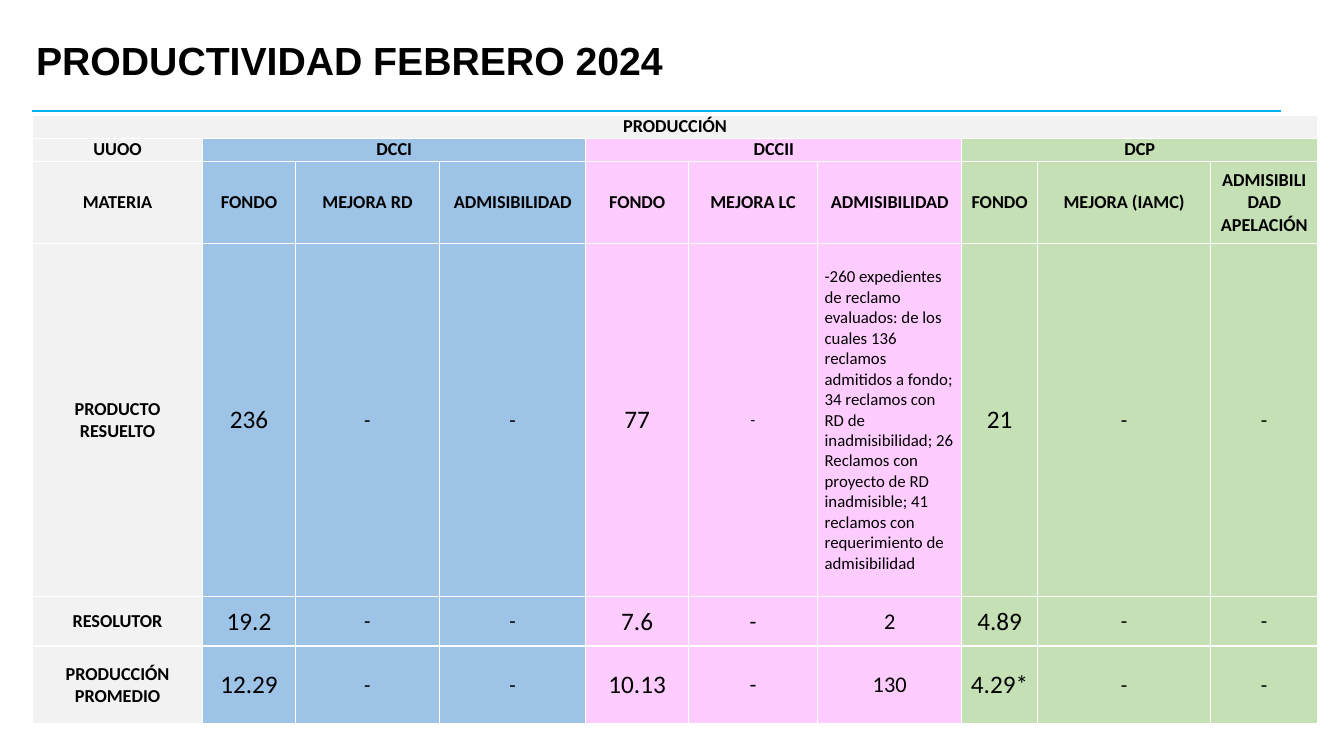
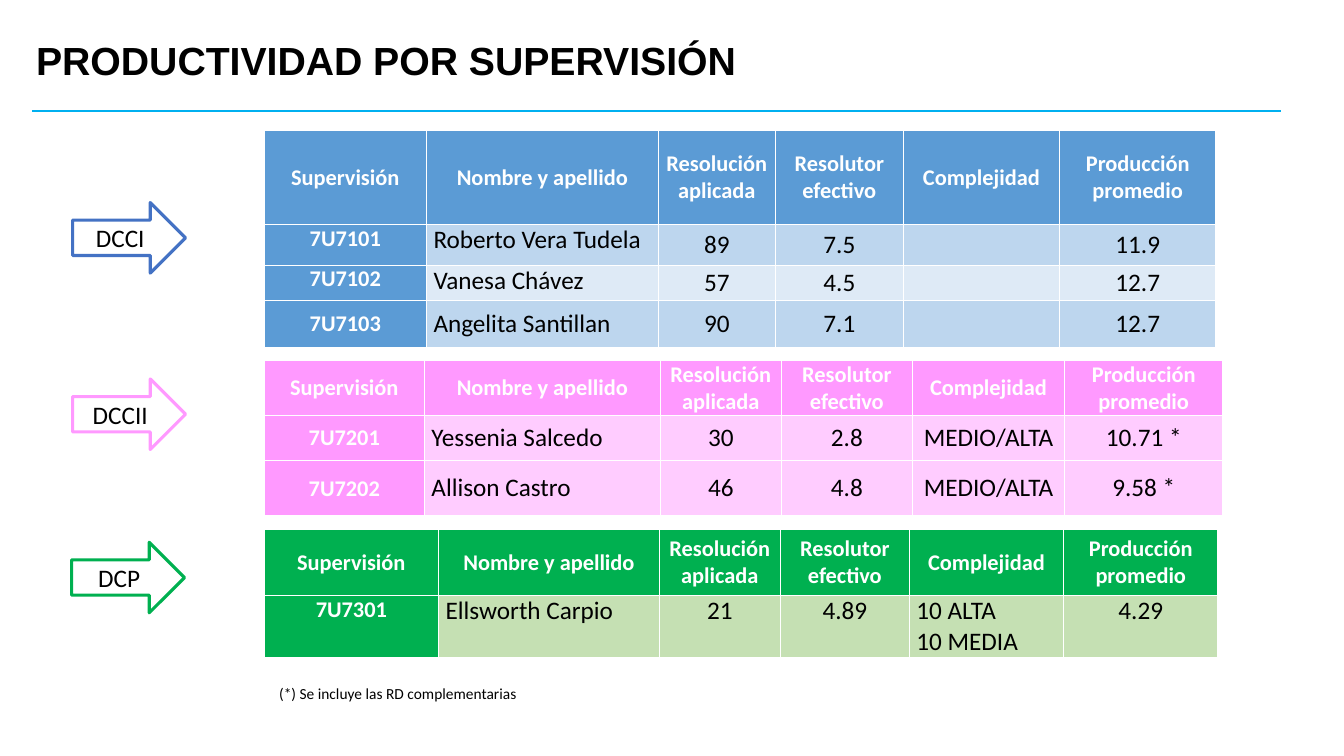
from dataclasses import dataclass

from lxml.etree import SubElement
from pptx import Presentation
from pptx.dml.color import RGBColor
from pptx.enum.shapes import MSO_CONNECTOR as Connector, MSO_SHAPE as Preset
from pptx.enum.text import MSO_ANCHOR as Anchor, PP_ALIGN as Align
from pptx.oxml.ns import qn
from pptx.slide import Slide
from pptx.table import Table, _Cell as Cell
from pptx.text.text import TextFrame
from pptx.util import Inches, Pt

BLACK, WHITE, GREY = "000000", "FFFFFF", "F2F2F2"
RULE = "00B0F0"
BLUE, PINK, GREEN = "9DC3E6", "FFCCFF", "C5E0B4"
BODY_FONT, TITLE_FONT = "Calibri", "Arial"


@dataclass(frozen=True)
class Style:
    size: float
    bold: bool = False
    color: str = BLACK
    align: Align = Align.CENTER
    font: str = BODY_FONT


TITLE = Style(28, True, align=Align.LEFT, font=TITLE_FONT)
LABEL = Style(13, True)
HEADING = Style(16, True, WHITE)
VALUE = Style(18)
NAME = Style(18, align=Align.LEFT)
NOTE = Style(11, align=Align.LEFT)


@dataclass(frozen=True)
class Team:
    """One supervision row; the first top_columns cells sit at the top."""
    height: float
    fill: str
    top_columns: int
    texts: tuple[str, ...]


@dataclass(frozen=True)
class Unit:
    """An arrow label with the table of its teams."""
    name: str
    arrow_left: float
    arrow_top: float
    outline: str
    accent: str
    table_top: float
    columns: tuple[float, ...]
    header_height: float
    teams: tuple[Team, ...]


TEAM_HEADINGS = ("Supervisión", "Nombre y apellido", "Resolución aplicada",
                 "Resolutor efectivo", "Complejidad", "Producción promedio")

UNITS = (
    Unit("DCCI", 0.72, 2.01, "4472C4", "5B9BD5", 1.29,
         (1.61, 2.3, 1.16, 1.27, 1.55, 1.55), 0.94, (
             Team(0.4, "BDD6EE", 2, ("7U7101", "Roberto Vera Tudela", "89", "7.5", "", "11.9")),
             Team(0.35, "DEEAF6", 2, ("7U7102", "Vanesa Chávez", "57", "4.5", "", "12.7")),
             Team(0.47, "BDD6EE", 0, ("7U7103", "Angelita Santillan", "90", "7.1", "", "12.7")))),
    Unit("DCCII", 0.72, 3.76, "FF99FF", "FF99FF", 3.58,
         (1.59, 2.34, 1.2, 1.3, 1.51, 1.57), 0.54, (
             Team(0.45, PINK, 0,
                  ("7U7201", "Yessenia Salcedo", "30", "2.8", "MEDIO/ALTA", "10.71 *")),
             Team(0.55, PINK, 0,
                  ("7U7202", "Allison Castro", "46", "4.8", "MEDIO/ALTA", "9.58 *")))),
    Unit("DCP", 0.71, 5.38, "00B050", "00B050", 5.25,
         (1.73, 2.19, 1.2, 1.28, 1.53, 1.53), 0.66, (
             Team(0.61, "C5E0B3", 6,
                  ("7U7301", "Ellsworth Carpio", "21", "4.89", "10 ALTA\n10 MEDIA", "4.29")),)),
)

OUTPUT_COLUMNS = (1.69, 0.92, 1.43, 1.45, 1.02, 1.28, 1.43, 0.75, 1.72, 1.06)
OUTPUT_ROWS = (0.23, 0.23, 0.82, 3.5, 0.49, 0.77)
OUTPUT_FILLS = (GREY,) + (BLUE,) * 3 + (PINK,) * 3 + (GREEN,) * 3
OUTPUT_SIZES = (13, 18, 15, 15, 18, 16, 16, 18, 15, 15)
SIZE_EXCEPTIONS = {(3, 5): 11, (3, 6): 12}
REVIEWED = (
    "-260 expedientes de reclamo evaluados: de los cuales 136 reclamos admitidos a fondo; "
    "34 reclamos con RD de inadmisibilidad; 26 Reclamos con proyecto de RD inadmisible; "
    "41 reclamos con requerimiento de admisibilidad")
OUTPUT_TEXTS = (
    ("PRODUCCIÓN",) + ("",) * 9,
    ("UUOO", "DCCI", "", "", "DCCII", "", "", "DCP", "", ""),
    ("MATERIA", "FONDO", "MEJORA RD", "ADMISIBILIDAD", "FONDO", "MEJORA LC",
     "ADMISIBILIDAD", "FONDO", "MEJORA (IAMC)", "ADMISIBILIDAD APELACIÓN"),
    ("PRODUCTO RESUELTO", "236", "-", "-", "77", "-", REVIEWED, "21", "-", "-"),
    ("RESOLUTOR", "19.2", "-", "-", "7.6", "-", "2", "4.89", "-", "-"),
    ("PRODUCCIÓN PROMEDIO", "12.29", "-", "-", "10.13", "-", "130", "4.29*", "-", "-"),
)


def rgb(code: str) -> RGBColor:
    return RGBColor.from_string(code)


def write(frame: TextFrame, text: str, style: Style, line_spacing: float = 1.0) -> None:
    """Put each line of text in its own paragraph."""
    for index, line in enumerate(text.split("\n")):
        para = frame.paragraphs[0] if index == 0 else frame.add_paragraph()
        para.alignment = style.align
        para.line_spacing = line_spacing
        span = para.add_run()
        span.text = line
        span.font.name = style.font
        span.font.size = Pt(style.size)
        span.font.bold = style.bold
        span.font.color.rgb = rgb(style.color)


def add_text(page: Slide, left: float, top: float, width: float, height: float,
             text: str, style: Style, anchor: Anchor = Anchor.TOP,
             line_spacing: float = 1.0) -> None:
    box = page.shapes.add_textbox(Inches(left), Inches(top), Inches(width), Inches(height))
    box.text_frame.word_wrap = True
    box.text_frame.vertical_anchor = anchor
    write(box.text_frame, text, style, line_spacing)


def add_page(deck: Presentation, title: str) -> Slide:
    """Add a blank page with the shared title and rule."""
    page = deck.slides.add_slide(deck.slide_layouts[6])
    rule = page.shapes.add_connector(
        Connector.STRAIGHT, Inches(0.32), Inches(1.1), Inches(12.71), Inches(1.1))
    rule.line.color.rgb = rgb(RULE)
    rule.line.width = Pt(1.5)
    SubElement(rule._element.spPr, qn("a:effectLst"))
    add_text(page, 0.26, 0.27, 11.5, 0.7, title, TITLE, Anchor.MIDDLE, 0.9)
    return page


def add_grid(page: Slide, left: float, top: float,
             columns: tuple[float, ...], rows: tuple[float, ...]) -> Table:
    frame = page.shapes.add_table(len(rows), len(columns), Inches(left), Inches(top),
                                  Inches(sum(columns)), Inches(sum(rows)))
    table = frame.table
    table.first_row = table.horz_banding = False
    for column, width in zip(table.columns, columns):
        column.width = Inches(width)
    for row, height in zip(table.rows, rows):
        row.height = Inches(height)
    return table


def fill_cell(cell: Cell, text: str, style: Style, fill: str,
              anchor: Anchor = Anchor.MIDDLE) -> None:
    properties = cell._tc.get_or_add_tcPr()
    for side in "LRTB":
        border = SubElement(properties, qn(f"a:ln{side}"), w=str(Pt(1)))
        paint = SubElement(border, qn("a:solidFill"))
        SubElement(paint, qn("a:srgbClr"), val=WHITE)
    cell.fill.solid()
    cell.fill.fore_color.rgb = rgb(fill)
    cell.margin_left = cell.margin_right = Inches(0.07)
    cell.margin_top = cell.margin_bottom = 0
    cell.vertical_anchor = anchor
    write(cell.text_frame, text, style)


def add_output_table(page: Slide) -> None:
    table = add_grid(page, 0.32, 1.14, OUTPUT_COLUMNS, OUTPUT_ROWS)
    for r, texts in enumerate(OUTPUT_TEXTS):
        for c, text in enumerate(texts):
            if r < 3 or c == 0:
                style = LABEL
            else:
                align = Align.LEFT if text == REVIEWED else Align.CENTER
                style = Style(SIZE_EXCEPTIONS.get((r, c), OUTPUT_SIZES[c]), align=align)
            fill_cell(table.cell(r, c), text, style, GREY if r == 0 else OUTPUT_FILLS[c])
    table.cell(0, 0).merge(table.cell(0, 9))
    for first in (1, 4, 7):
        table.cell(1, first).merge(table.cell(1, first + 2))


def add_unit(page: Slide, unit: Unit) -> None:
    arrow = page.shapes.add_shape(Preset.RIGHT_ARROW, Inches(unit.arrow_left),
                                  Inches(unit.arrow_top), Inches(1.12), Inches(0.7))
    arrow.shadow.inherit = False
    arrow.fill.solid()
    arrow.fill.fore_color.rgb = rgb(WHITE)
    arrow.line.color.rgb = rgb(unit.outline)
    arrow.line.width = Pt(2.25)
    arrow.text_frame.vertical_anchor = Anchor.MIDDLE
    write(arrow.text_frame, unit.name, VALUE)

    heights = (unit.header_height, *(team.height for team in unit.teams))
    table = add_grid(page, 2.62, unit.table_top, unit.columns, heights)
    for c, heading in enumerate(TEAM_HEADINGS):
        fill_cell(table.cell(0, c), heading, HEADING, unit.accent)
    for r, team in enumerate(unit.teams, start=1):
        for c, text in enumerate(team.texts):
            if c == 0:
                style = HEADING
            else:
                style = NAME if c == 1 or "\n" in text else VALUE
            fill_cell(table.cell(r, c), text, style, team.fill if c else unit.accent,
                      Anchor.TOP if c < team.top_columns else Anchor.MIDDLE)


def main() -> None:
    deck = Presentation()
    deck.slide_width, deck.slide_height = Inches(13.33), Inches(7.5)

    add_output_table(add_page(deck, "PRODUCTIVIDAD FEBRERO 2024"))

    page = add_page(deck, "PRODUCTIVIDAD POR SUPERVISIÓN")
    for unit in UNITS:
        add_unit(page, unit)
    add_text(page, 2.67, 6.74, 2.66, 0.29, "(*) Se incluye las RD complementarias", NOTE)

    deck.save("out.pptx")


if __name__ == "__main__":
    main()
